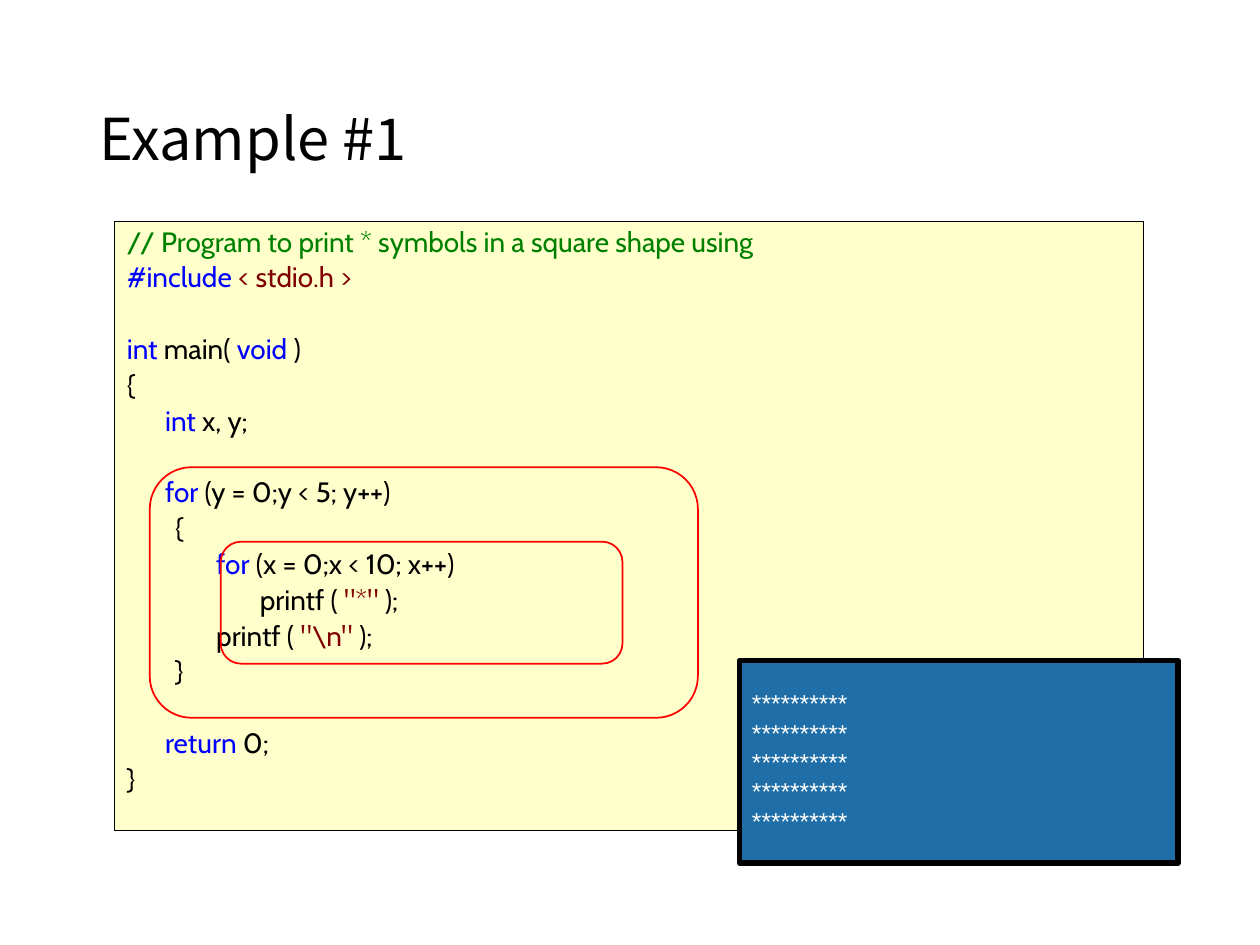
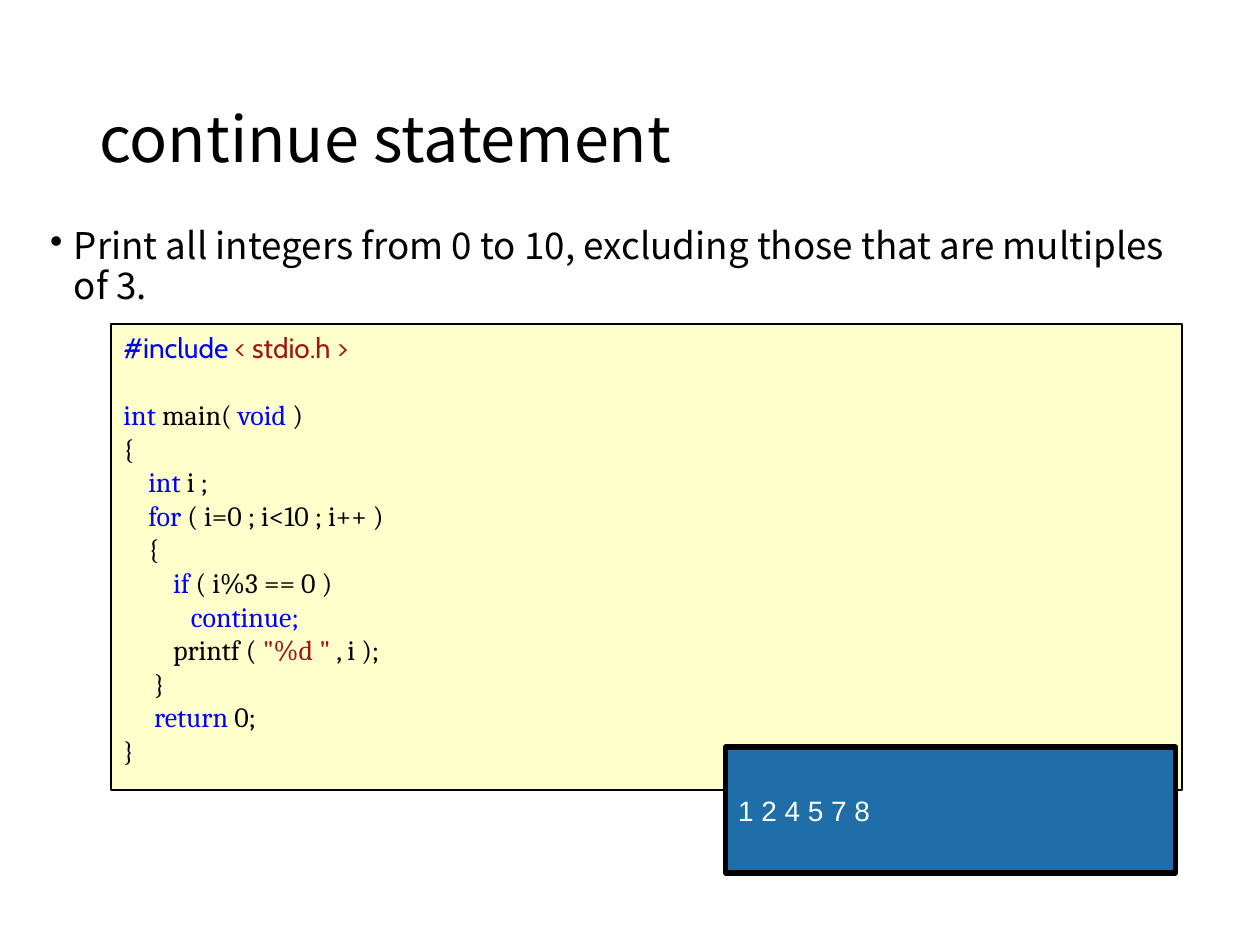
import pptx
import pptx.dml.color
import pptx.enum.shapes
import pptx.enum.text
import pptx.oxml
import pptx.oxml.ns
import pptx.util

Cm = pptx.util.Cm
Pt = pptx.util.Pt
Shape = pptx.enum.shapes.MSO_SHAPE
Anchor = pptx.enum.text.MSO_ANCHOR

COLOURS = {
    "text": "000000",
    "keyword": "0000FF",
    "comment": "008000",
    "maroon": "800000",
    "brick": "A31515",
    "code_fill": "FFFFCC",
    "console_fill": "1F6EA7",
    "console_text": "FFFFFF",
    "highlight": "FF0000",
}
HEADING_FONT = "Noto Sans CJK KR"
CODE_SIZE = 16

# Each code line: indent in cm, then (text, colour) spans; None is an empty line
SQUARE_CODE = [
    (0, ("// Program to print * symbols in a square shape using", "comment")),
    (0, ("#include ", "keyword"), ("< stdio.h >", "maroon")),
    None,
    (0, ("int ", "keyword"), ("main( ", "text"), ("void ", "keyword"), (")", "text")),
    (0, ("{", "text")),
    (0.77, ("int ", "keyword"), ("x, y;", "text")),
    None,
    (0.77, ("for ", "keyword"), ("(y = 0;y < 5; y++)", "text")),
    (0.97, ("{", "text")),
    (1.8, ("for ", "keyword"), ("(x = 0;x < 10; x++)", "text")),
    (2.68, ("printf ( ", "text"), ('"*" ', "maroon"), (");", "text")),
    (1.8, ("printf ( ", "text"), ('"\\n" ', "maroon"), (");", "text")),
    (0.97, ("}", "text")),
    None,
    (0.77, ("return ", "keyword"), ("0;", "text")),
    (0, ("}", "text")),
]
CONTINUE_CODE = [
    (0, ("#include ", "keyword"), ("< stdio.h >", "brick")),
    None,
    (0, ("int ", "keyword"), ("main( ", "text"), ("void ", "keyword"), (")", "text")),
    (0, ("{", "text")),
    (0.5, ("int", "keyword"), (" i ;", "text")),
    (0.5, ("for ", "keyword"), ("( i=0 ; i<10 ; i++ )", "text")),
    (0.5, ("{", "text")),
    (1, ("if ", "keyword"), ("( i%3 == 0 )", "text")),
    (1.36, ("continue;", "keyword")),
    (1, ("printf ( ", "text"), ('"%d " ', "brick"), (", i );", "text")),
    (0.62, ("}", "text")),
    (0.62, ("return ", "keyword"), ("0;", "text")),
    (0, ("}", "text")),
]


def rgb(name):
    return pptx.dml.color.RGBColor.from_string(COLOURS[name])


def style_span(span, size, font, colour):
    span.font.size = Pt(size)
    span.font.name = font
    span.font.color.rgb = rgb(colour)


def set_indent(para, left, first=0):
    properties = para._p.get_or_add_pPr()
    properties.set("marL", str(Cm(left)))
    properties.set("indent", str(Cm(first)))
    return properties


def add_outlined(page, kind, place, line, width, fill=None):
    box = page.shapes.add_shape(kind, *map(Cm, place))
    box.shadow.inherit = False
    if fill:
        box.fill.solid()
        box.fill.fore_color.rgb = rgb(fill)
    else:
        box.fill.background()
    box.line.color.rgb = rgb(line)
    box.line.width = Pt(width)
    box.text_frame.word_wrap = True
    return box


def add_heading_text(page, place, text, size, anchor):
    box = page.shapes.add_textbox(*map(Cm, place))
    box.text_frame.word_wrap = True
    box.text_frame.vertical_anchor = anchor
    box.text_frame.text = text
    para = box.text_frame.paragraphs[0]
    para.line_spacing = 0.9
    style_span(para.runs[0], size, HEADING_FONT, "text")
    return para


def add_title(page, text, size):
    add_heading_text(page, (1.75, 1.02, 21.89, 3.68), text, size, Anchor.MIDDLE)


def add_bullet(page, place, text):
    para = add_heading_text(page, place, text, 21, Anchor.TOP)
    properties = set_indent(para, 0.48, -0.48)
    bullet = pptx.oxml.parse_xml(
        f'<a:buChar {pptx.oxml.ns.nsdecls("a")} char="•"/>')
    properties.append(bullet)


def add_code(page, place, lines, font, line_spacing, gap, empty_height, first_font="Cabin"):
    """A listing whose empty lines become extra space before the next line."""
    box = add_outlined(page, Shape.RECTANGLE, place, "text", 0.75, "code_fill")
    frame = box.text_frame
    frame.vertical_anchor = Anchor.TOP
    para, space = None, 0
    for line in lines:
        if line is None:
            space += empty_height
            continue
        line_font = font if para else first_font
        para = frame.add_paragraph() if para else frame.paragraphs[0]
        para.alignment = pptx.enum.text.PP_ALIGN.LEFT
        para.line_spacing = line_spacing
        para.space_before = Pt(space)
        indent, *spans = line
        set_indent(para, indent)
        for text, colour in spans:
            span = para.add_run()
            span.text = text
            style_span(span, CODE_SIZE, line_font, colour)
        space = gap


def add_console(page, place, lines, size):
    box = add_outlined(page, Shape.RECTANGLE, place, "text", 3, "console_fill")
    box.text_frame.vertical_anchor = Anchor.MIDDLE
    box.text_frame.text = "\n".join(lines)
    for para in box.text_frame.paragraphs:
        para.alignment = pptx.enum.text.PP_ALIGN.LEFT
        style_span(para.runs[0], size, "Arial", "console_text")


def add_loop_frame(page, place):
    add_outlined(page, Shape.ROUNDED_RECTANGLE, place, "highlight", 1)


def build_square_page(page):
    add_code(page, (2.31, 4.47, 20.75, 12.27), SQUARE_CODE, "Cabin", 0.9, 3.2, 20.5)
    add_title(page, "Example #1", 33)
    add_console(page, (14.91, 13.31, 8.84, 4.09), ["*" * 10] * 5, 14)
    # Outer and inner loop
    add_loop_frame(page, (3.02, 9.42, 11.05, 5.05))
    add_loop_frame(page, (4.45, 10.92, 8.1, 2.46))


def build_continue_page(page):
    add_title(page, "continue statement", 36)
    add_bullet(page, (0.76, 4.47, 23.5, 12.09),
               "Print all integers from 0 to 10, excluding those that are multiples of 3.")
    add_code(page, (2.24, 6.53, 21.59, 9.4), CONTINUE_CODE, "Cambria", 1.0, 0, 19.4)
    add_console(page, (14.63, 15.06, 9.07, 2.54), ["1 2 4 5 7 8"], 16)


def main():
    deck = pptx.Presentation()
    deck.slide_width, deck.slide_height = Cm(25.4), Cm(19.05)
    blank = deck.slide_layouts[6]
    for build in (build_square_page, build_continue_page):
        build(deck.slides.add_slide(blank))
    deck.save("out.pptx")


if __name__ == "__main__":
    main()
